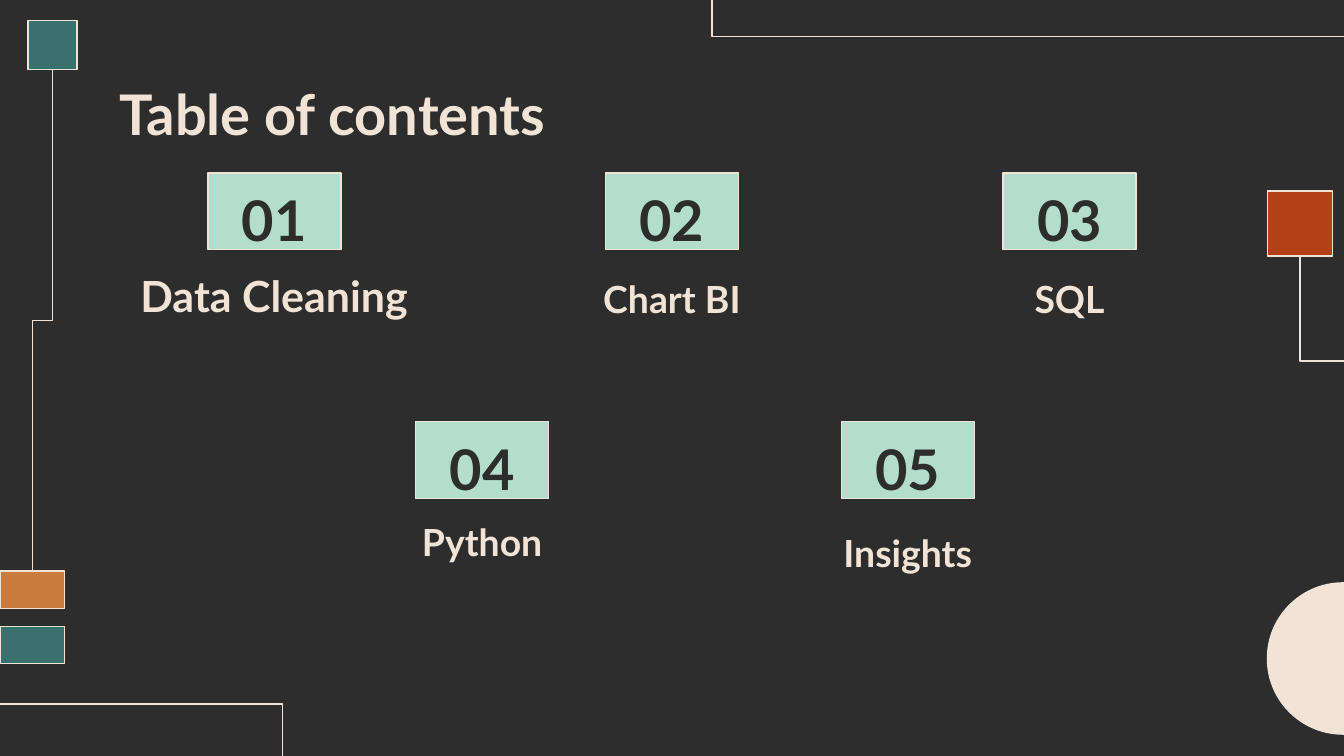
from pptx import Presentation
from pptx.dml.color import RGBColor
from pptx.enum.shapes import MSO_CONNECTOR, MSO_SHAPE
from pptx.enum.text import MSO_ANCHOR, PP_ALIGN
from pptx.oxml.ns import qn
from pptx.util import Pt
from lxml.etree import SubElement

COLORS = {
    "dark": "2D2D2D", "cream": "F1E3D5", "mint": "B3DECE",
    "teal": "3A706E", "orange": "C97C3E", "red": "B34017",
}
FONT = "Lato"
BADGE_W, BADGE_H = 71.3, 41
LABEL_W, LABEL_H = 181.4, 36.7


def rgb(name):
    return RGBColor.from_string(COLORS[name])


def outline(line):
    line.color.rgb = rgb("cream")
    line.width = Pt(0.75)


def add_block(s, kind, x, y, w, h, fill=None):
    sp = s.shapes.add_shape(kind, Pt(x), Pt(y), Pt(w), Pt(h))
    sp.shadow.inherit = False
    if fill:
        sp.fill.solid()
        sp.fill.fore_color.rgb = rgb(fill)
    else:
        sp.fill.background()
    outline(sp.line)
    return sp


def add_vertical_elbow(s, x1, y1, x2, y2):
    cx, cy = (x1 + x2) / 2, (y1 + y2) / 2
    half_w, half_h = (y2 - y1) / 2, abs(x2 - x1) / 2
    rightward = x2 > x1
    if rightward:
        half_w = -half_w
    cxn = s.shapes.add_connector(
        MSO_CONNECTOR.ELBOW,
        Pt(cx - half_w), Pt(cy - half_h), Pt(cx + half_w), Pt(cy + half_h))
    outline(cxn.line)
    sp_pr = cxn._element.spPr
    sp_pr.find(qn("a:xfrm")).set("rot", str((270 if rightward else 90) * 60000))
    SubElement(sp_pr, qn("a:effectLst"))


def set_text(sp, text, size, color, anchor, margins, align=PP_ALIGN.CENTER, spacing=1.15):
    tf = sp.text_frame
    tf.word_wrap = True
    tf.vertical_anchor = anchor
    tf.margin_left, tf.margin_top, tf.margin_right, tf.margin_bottom = map(Pt, margins)
    tf.text = text
    p = tf.paragraphs[0]
    p.alignment = align
    p.line_spacing = spacing
    font = p.runs[0].font
    font.name, font.size, font.bold = FONT, Pt(size), True
    font.color.rgb = rgb(color)


def add_text(s, x, y, w, h, text, size, anchor, **style):
    sp = s.shapes.add_textbox(Pt(x), Pt(y), Pt(w), Pt(h))
    set_text(sp, text, size, "cream", anchor, (7.2, 7.2, 7.2, 7.2), **style)


def add_entry(s, number, center, top, label, label_top, size):
    badge = add_block(s, MSO_SHAPE.RECTANGLE, center - BADGE_W / 2, top,
                      BADGE_W, BADGE_H, "mint")
    set_text(badge, f"{number:02d}", 30, "dark", MSO_ANCHOR.MIDDLE, (7.2, 3.6, 7.2, 0))
    add_text(s, center - LABEL_W / 2, label_top, LABEL_W, LABEL_H,
             label, size, MSO_ANCHOR.BOTTOM)


def add_decoration(s):
    for x, y, w, h, fill in [
        (679, 102.3, 34.8, 34.8, "red"),
        (0, 306, 34.6, 20, "orange"),
        (0, 335.5, 34.6, 20, "teal"),
        (15.1, 11, 26.2, 26.2, "teal"),
        (381.4, -6.5, 346.3, 26.2, None),
        (-5, 377.2, 156.5, 41, None),
    ]:
        add_block(s, MSO_SHAPE.RECTANGLE, x, y, w, h, fill)
    add_block(s, MSO_SHAPE.OVAL, 679, 312.3, 81, 81, "cream")
    add_vertical_elbow(s, 28.2, 37.2, 17.3, 306)
    add_vertical_elbow(s, 696.4, 137.1, 728.9, 249.8)


def main():
    prs = Presentation()
    prs.slide_width, prs.slide_height = Pt(720), Pt(405)
    s = prs.slides.add_slide(prs.slide_layouts[6])
    s.background.fill.solid()
    s.background.fill.fore_color.rgb = rgb("dark")

    add_decoration(s)
    add_text(s, 56.9, 35.3, 607, 45.4, "Table of contents", 30, MSO_ANCHOR.TOP,
             align=PP_ALIGN.LEFT, spacing=1.0)
    entries = [
        (147, 92.7, "Data Cleaning", 142.6, 23),
        (360, 92.7, "Chart BI", 142.6, 20),
        (573, 92.7, "SQL", 142.6, 20),
        (258.3, 226, "Python", 272.9, 20),
        (486.3, 226, "Insights", 278.6, 20),
    ]
    for number, entry in enumerate(entries, 1):
        add_entry(s, number, *entry)

    prs.save("out.pptx")


if __name__ == "__main__":
    main()
